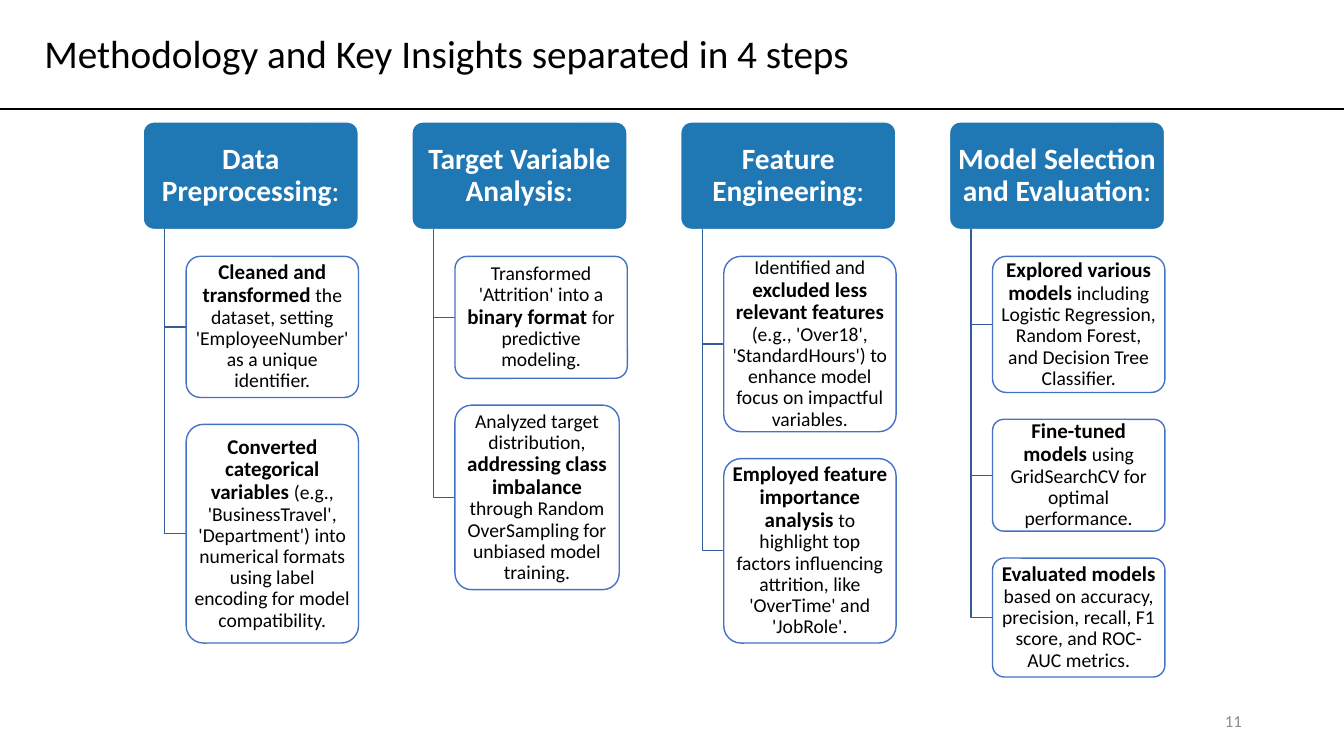
"""Build the slide that sets out a four-step method as four columns of linked boxes."""
from lxml.etree import SubElement
from pptx import Presentation
from pptx.dml.color import RGBColor
from pptx.enum.shapes import MSO_CONNECTOR, MSO_SHAPE
from pptx.enum.text import MSO_ANCHOR, MSO_AUTO_SIZE, PP_ALIGN
from pptx.oxml.ns import qn
from pptx.util import Inches, Pt

TITLE = "Methodology and Key Insights separated in 4 steps"
NUMBER = "11"
STEPS = [
    ("*Data Preprocessing*:", [
        (1.4, 1.71, "*Cleaned and transformed *the dataset, setting 'EmployeeNumber' "
                    "as a unique identifier."),
        (2.17, 1.71, "*Converted categorical variables *(e.g., 'BusinessTravel', "
                     "'Department') into numerical formats using label encoding "
                     "for model compatibility."),
    ]),
    ("*Target Variable Analysis*:", [
        (1.21, 1.71, "Transformed 'Attrition' into a *binary format *for "
                     "predictive modeling."),
        (1.83, 1.63, "Analyzed target distribution, *addressing class imbalance* "
                     "through Random OverSampling for unbiased model training."),
    ]),
    ("*Feature Engineering*:", [
        (1.74, 1.71, "Identified and *excluded less relevant features *(e.g., "
                     "'Over18', 'StandardHours') to enhance model focus on "
                     "impactful variables."),
        (1.83, 1.71, "*Employed feature importance analysis *to highlight top "
                     "factors influencing attrition, like 'OverTime' and 'JobRole'."),
    ]),
    ("*Model Selection and Evaluation*:", [
        (1.35, 1.71, "*Explored various models *including Logistic Regression, "
                     "Random Forest, and Decision Tree Classifier."),
        (1.11, 1.71, "*Fine-tuned models *using GridSearchCV for optimal performance."),
        (1.18, 1.71, "*Evaluated models *based on accuracy, precision, recall, "
                     "F1 score, and ROC-AUC metrics."),
    ]),
]

BLACK = RGBColor(0x00, 0x00, 0x00)
WHITE = RGBColor(0xFF, 0xFF, 0xFF)
GREY = RGBColor(0x8C, 0x8C, 0x8C)
BLUE = RGBColor(0x1F, 0x77, 0xB4)
EDGE = RGBColor(0x44, 0x72, 0xC4)
LINK = RGBColor(0x36, 0x5B, 0x9D)

WIDE, HIGH = Inches(13.333), Inches(7.5)
PITCH = WIDE / 5
HEAD_W, HEAD_H = PITCH * 0.8, PITCH * 0.4
GAP = HEAD_H / 4
LEFT, TOP = Inches(1.42), Inches(1.21)
RULE = Inches(1.08)


def write(shape, text, size, bold=None, color=BLACK, align=PP_ALIGN.CENTER,
          inset=(0.1, 0.05), lead=0.9):
    """Set text in a shape, with the parts between asterisks in bold."""
    frame = shape.text_frame
    frame.word_wrap = True
    frame.auto_size = MSO_AUTO_SIZE.NONE
    frame.vertical_anchor = MSO_ANCHOR.MIDDLE
    frame.margin_left = frame.margin_right = Inches(inset[0])
    frame.margin_top = frame.margin_bottom = Inches(inset[1])
    para = frame.paragraphs[0]
    para.alignment, para.line_spacing = align, lead
    for i, part in enumerate(text.split("*")):
        if part:
            run = para.add_run()
            run.text = part
            font = run.font
            font.name, font.bold = "Calibri", i % 2 == 1
            font.size = Pt(bold if bold and i % 2 else size)
            font.color.rgb = color


def box(shapes, x, y, w, h, fill, edge):
    """Add a rounded box."""
    shape = shapes.add_shape(MSO_SHAPE.ROUNDED_RECTANGLE,
                             int(x), int(y), int(w), int(h))
    shape.adjustments[0] = 0.1
    shape.shadow.inherit = False
    shape.fill.solid()
    shape.fill.fore_color.rgb = fill
    shape.line.color.rgb, shape.line.width = edge, Pt(1)
    return shape


def elbow(shapes, x, y, end, mid):
    """Add a bent line that goes down from a head and right to a box."""
    path = shapes.build_freeform(int(x), int(y))
    path.add_line_segments([(int(x), int(mid)), (int(end), int(mid))], close=False)
    line = path.convert_to_shape()
    line.shadow.inherit = False
    line.fill.background()
    line.line.color.rgb, line.line.width = LINK, Pt(1)


def column(shapes, x, head, notes):
    """Add one step: its head and the boxes that hang from it."""
    write(box(shapes, x, TOP, HEAD_W, HEAD_H, BLUE, WHITE), head, 21,
          color=WHITE, inset=(0.04, 0.03))
    base = TOP + HEAD_H
    y, left = base + GAP, x + HEAD_W * 0.2
    for high, wide, text in notes:
        h = Inches(high)
        elbow(shapes, x + HEAD_W * 0.1, base, left, y + h / 2)
        note = box(shapes, left, y, Inches(wide), h, WHITE, EDGE)
        tint = note.fill._xPr.find(qn("a:solidFill"))[0]
        SubElement(tint, qn("a:alpha")).set("val", "90000")
        write(note, text, 14, bold=15, inset=(0.03, 0.02))
        y += h + GAP


def main():
    """Build and save the slide."""
    deck = Presentation()
    deck.slide_width, deck.slide_height = WIDE, HIGH
    slide = deck.slides.add_slide(deck.slide_layouts[5])
    shapes = slide.shapes
    title = shapes.title
    title.left, title.top = Inches(0.34), 0
    title.width, title.height = Inches(12.65), Inches(1.11)
    write(title, TITLE, 28, align=PP_ALIGN.LEFT)
    page = shapes.add_textbox(Inches(9.42), Inches(6.95), Inches(3), Inches(0.4))
    write(page, NUMBER, 12, color=GREY, align=PP_ALIGN.RIGHT, lead=1.0)
    for i, (head, notes) in enumerate(STEPS):
        column(shapes, LEFT + i * PITCH, head, notes)
    rule = shapes.add_connector(MSO_CONNECTOR.STRAIGHT, 0, RULE, WIDE, RULE)
    rule.line.color.rgb, rule.line.width = BLACK, Pt(1)
    SubElement(rule._element.spPr, qn("a:effectLst"))
    deck.save("out.pptx")


if __name__ == "__main__":
    main()
